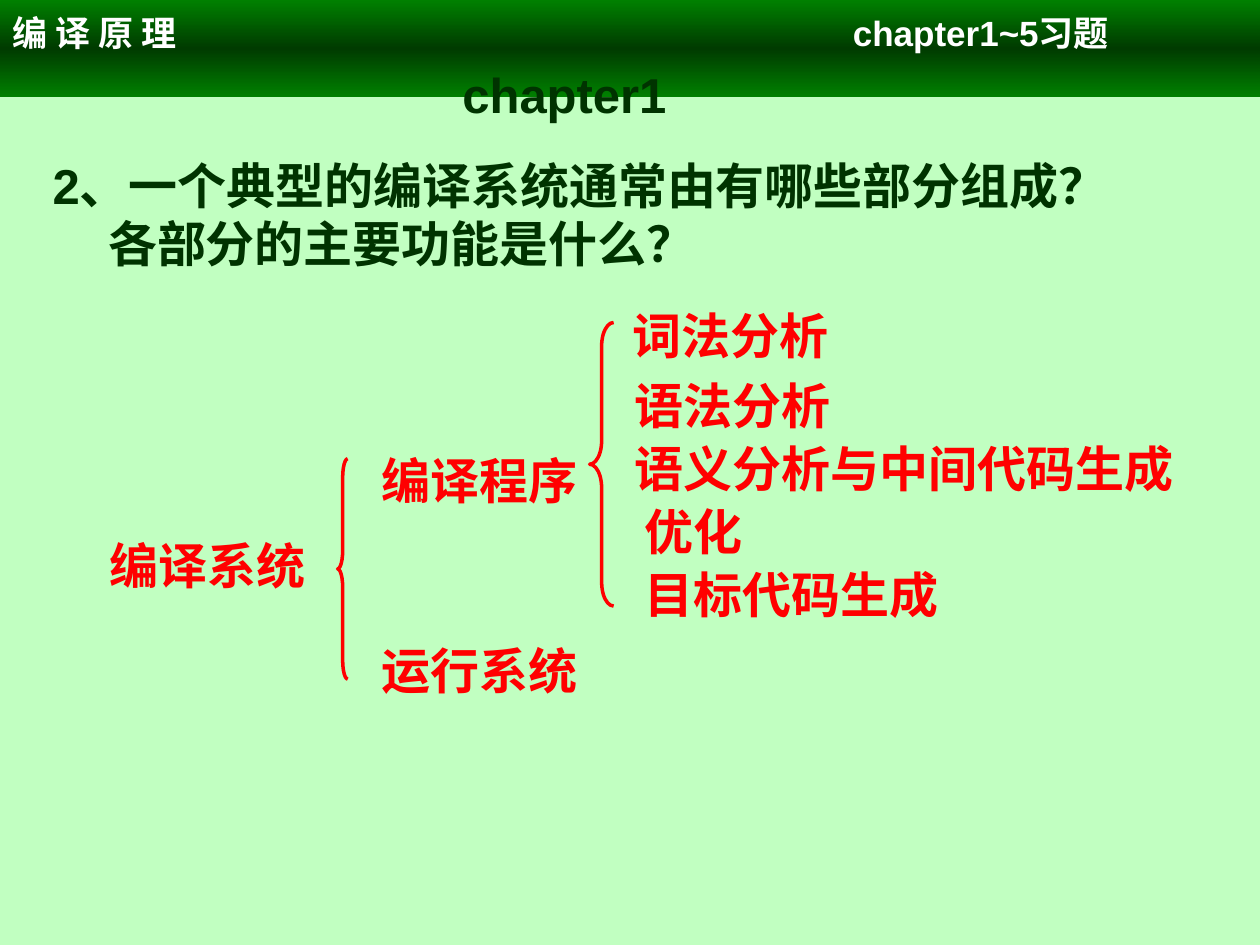
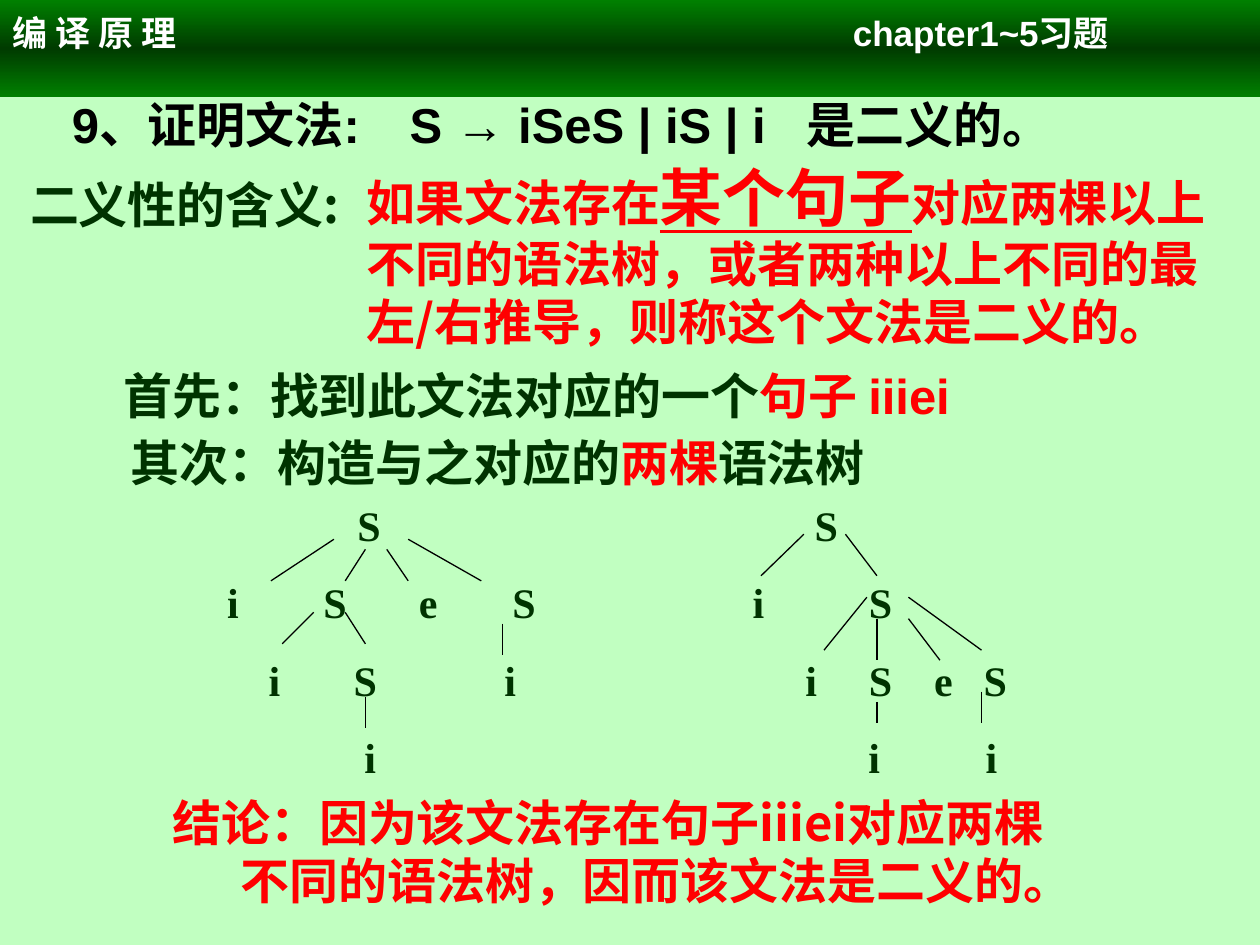
from copy import deepcopy
from dataclasses import dataclass

from pptx import Presentation
from pptx.dml.color import RGBColor
from pptx.enum import shapes as shp, text as txt
from pptx.oxml import ns
from pptx.util import Inches, Pt

HUE = {
    "page": "C1FFC1", "edge": "008000", "core": "003B00", "white": "FFFFFF",
    "ink": "003300", "red": "FF0000", "black": "000000",
}
HAN = "Noto Sans CJK SC"


@dataclass
class Run:
    """A stretch of text; empty fields fall back to the format of its box."""
    text: str
    color: str = ""
    font: str = ""
    size: float = 0
    line: bool = False


@dataclass
class Label:
    text: str
    left: float
    top: float
    width: float


@dataclass
class Brace:
    left: float
    top: float
    width: float
    height: float


@dataclass
class Tree:
    """Rows hold (letter, centre) pairs; edges hold x1, y1, x2, y2."""
    left: float
    width: float
    rows: list
    edges: list


def rgb(name):
    return RGBColor.from_string(HUE[name])


# Text
def add_tabs(para, stops, align):
    tabs = para._p.get_or_add_pPr().makeelement(ns.qn("a:tabLst"), {})
    for stop in stops:
        tab = tabs.makeelement(ns.qn("a:tab"), {"pos": str(Inches(stop)), "algn": align})
        tabs.append(tab)
    para._p.get_or_add_pPr().append(tabs)


def put(frame, rows, size=28, font="Arial", color="ink", indent=0, gap=0,
        tabs=None, align="l"):
    """Write rows (strings or lists of runs); indent applies after the first."""
    frame.word_wrap = True
    frame.auto_size = txt.MSO_AUTO_SIZE.NONE
    frame.vertical_anchor = txt.MSO_ANCHOR.TOP
    frame.margin_left = frame.margin_right = frame.margin_top = Inches(0.1)
    frame.margin_bottom = 0
    for i, row in enumerate(rows):
        para = frame.add_paragraph() if i else frame.paragraphs[0]
        runs = [Run(row)] if isinstance(row, str) else row
        if tabs:
            add_tabs(para, tabs[i], align)
        if i and indent:
            para._p.get_or_add_pPr().set("marL", str(Inches(indent)))
        para.alignment = txt.PP_ALIGN.LEFT
        para.line_spacing = Pt(1.18 * max(run.size or size for run in runs))
        para.space_before = Pt(gap if i else 0)
        for item in runs:
            run = para.add_run()
            run.text = item.text
            face = run.font
            face.size, face.bold = Pt(item.size or size), True
            face.color.rgb = rgb(item.color or color)
            face.name = item.font or font
            if item.line:
                face.underline = True
            props = run._r.get_or_add_rPr()
            props.append(props.makeelement(ns.qn("a:ea"), {"typeface": HAN}))


def add_text(slide, rows, left, top, width, height, **fmt):
    box = slide.shapes.add_textbox(Inches(left), Inches(top), Inches(width), Inches(height))
    put(box.text_frame, rows, **fmt)


def add_title(slide, row, left, top, width, **fmt):
    title = slide.shapes.title
    title.left, title.top = Inches(left), Inches(top)
    title.width, title.height = Inches(width), Inches(0.57)
    put(title.text_frame, [row], **fmt)


# Shapes
def add_band(slide, layout):
    """Draw the header band and hand it to the layout."""
    band = slide.shapes.add_shape(shp.MSO_SHAPE.RECTANGLE, 0, 0, Inches(10), Inches(0.77))
    band.shadow.inherit = False
    band.line.fill.background()
    band.fill.gradient()
    first = next(band.element.iter(ns.qn("a:gs")))
    first.addnext(deepcopy(first))
    stops = zip(band.fill.gradient_stops, ("edge", "core", "edge"), (0, 0.5, 1))
    for stop, name, place in stops:
        stop.color.rgb = rgb(name)
        stop.position = place
    band.fill.gradient_angle = 90
    put(band.text_frame, ["编 译 原 理\tchapter1~5习题"], size=20, color="white",
        tabs=[[6.67]])
    band.element.nvSpPr.cNvPr.set("id", "20")
    layout.shapes.element.insert(2, band.element)


def add_brace(slide, item: Brace):
    brace = slide.shapes.add_shape(
        shp.MSO_SHAPE.LEFT_BRACE, Inches(item.left), Inches(item.top),
        Inches(item.width), Inches(item.height))
    brace.adjustments[0] = item.height / 12 / item.width
    brace.shadow.inherit = False
    brace.fill.background()
    brace.line.color.rgb = rgb("red")
    brace.line.width = Pt(2)


def add_edge(slide, *ends):
    edge = slide.shapes.add_connector(
        shp.MSO_CONNECTOR.STRAIGHT, *(Inches(end) for end in ends))
    edge.line.color.rgb = rgb("black")
    edge.line.width = Pt(0.75)
    props = edge.element.spPr
    props.append(props.makeelement(ns.qn("a:effectLst"), {}))


def add_tree(slide, tree: Tree):
    rows = ["".join("\t" + name for name, _ in row) for row in tree.rows]
    tabs = [[x - tree.left - 0.1 for _, x in row] for row in tree.rows]
    add_text(slide, rows, tree.left, 3.87, tree.width, 2.33, size=24,
             font="Times New Roman", gap=16, tabs=tabs, align="ctr")
    for edge in tree.edges:
        add_edge(slide, *edge)


# Slide content
PARTS = [
    Label("编译系统", 0.77, 4.16, 2.17),
    Label("编译程序", 2.93, 3.48, 2.25),
    Label("运行系统", 2.93, 4.99, 2.59),
    Label("词法分析", 4.92, 2.33, 1.85),
    Label("语法分析", 4.94, 2.89, 1.85),
    Label("语义分析与中间代码生成", 4.94, 3.39, 4.6),
    Label("优化", 5.02, 3.89, 1.1),
    Label("目标代码生成", 5.02, 4.39, 2.65),
]
BRACES = [Brace(4.68, 2.56, 0.19, 2.25), Brace(2.68, 3.64, 0.08, 1.75)]

TREES = [
    Tree(1.38, 3.11,
         [[("S", 2.93)],
          [("i", 1.85), ("S", 2.66), ("e", 3.4), ("S", 4.16)],
          [("i", 2.18), ("S", 2.9), ("i", 4.05)],
          [("i", 2.94)]],
         [(2.65, 4.28, 2.15, 4.61), (2.9, 4.36, 2.74, 4.61),
          (3.07, 4.36, 3.24, 4.61), (3.24, 4.28, 3.82, 4.61),
          (2.49, 4.86, 2.24, 5.11), (2.74, 4.86, 2.9, 5.11),
          (3.99, 4.95, 3.99, 5.2), (2.9, 5.53, 2.9, 5.78)]),
    Tree(5.63, 2.58,
         [[("S", 6.56)],
          [("i", 6.02), ("S", 6.99)],
          [("i", 6.44), ("S", 6.99), ("e", 7.49), ("S", 7.9)],
          [("i", 6.94), ("i", 7.87)]],
         [(6.38, 4.24, 6.04, 4.57), (6.71, 4.24, 6.96, 4.57),
          (6.88, 4.74, 6.54, 5.16), (6.96, 4.91, 6.96, 5.24),
          (7.21, 4.91, 7.46, 5.24), (7.21, 4.74, 7.79, 5.16),
          (6.96, 5.57, 6.96, 5.74), (7.79, 5.49, 7.79, 5.74)]),
]


def draw_system(slide):
    add_title(slide, "chapter1", 3.57, 0.42, 1.9)
    add_text(slide, ["2、一个典型的编译系统通常由有哪些部分组成？", "各部分的主要功能是什么？"],
             0.32, 1.14, 8.9, 1.04, indent=0.44)
    for part in PARTS:
        add_text(slide, [part.text], part.left, part.top, part.width, 0.57,
                 font="Lato", color="red")
    for brace in BRACES:
        add_brace(slide, brace)


def draw_proof(slide):
    add_title(slide, "9、证明文法:\tS → iSeS | iS | i\t是二义的。", 0.47, 0.66, 8.2,
              color="black", tabs=[[2.68, 5.83]])
    add_text(slide, ["二义性的含义:"], 0.14, 1.29, 2.85, 0.57, font=HAN)
    add_text(slide, [
        [Run("如果文法存在"), Run("某个句子", size=36, line=True), Run("对应两棵以上")],
        "不同的语法树，或者两种以上不同的最",
        "左/右推导，则称这个文法是二义的。",
    ], 2.81, 1.17, 7.1, 1.64, font=HAN, color="red")
    add_text(slide, [[Run("首先：找到此文法对应的一个"), Run("句子 ", "red"),
                      Run("iiiei", "red", "Arial")]], 0.88, 2.81, 7.1, 0.57, font=HAN)
    add_text(slide, [[Run("其次：构造与之对应的"), Run("两棵", "red"), Run("语法树")]],
             0.94, 3.34, 6.2, 0.57, font=HAN)
    for tree in TREES:
        add_tree(slide, tree)
    add_text(slide, ["结论：因为该文法存在句子iiiei对应两棵", "不同的语法树，因而该文法是二义的。"],
             1.27, 6.2, 8.73, 1.04, font=HAN, color="red", indent=0.54)


def main():
    deck = Presentation()
    deck.slide_width, deck.slide_height = Inches(10), Inches(7.5)
    fill = deck.slide_master.background.fill
    fill.solid()
    fill.fore_color.rgb = rgb("page")
    layout = deck.slide_layouts[5]
    pages = [deck.slides.add_slide(layout) for _ in range(2)]
    add_band(pages[0], layout)
    for draw, page in zip((draw_system, draw_proof), pages):
        draw(page)
    deck.save("out.pptx")


if __name__ == "__main__":
    main()
